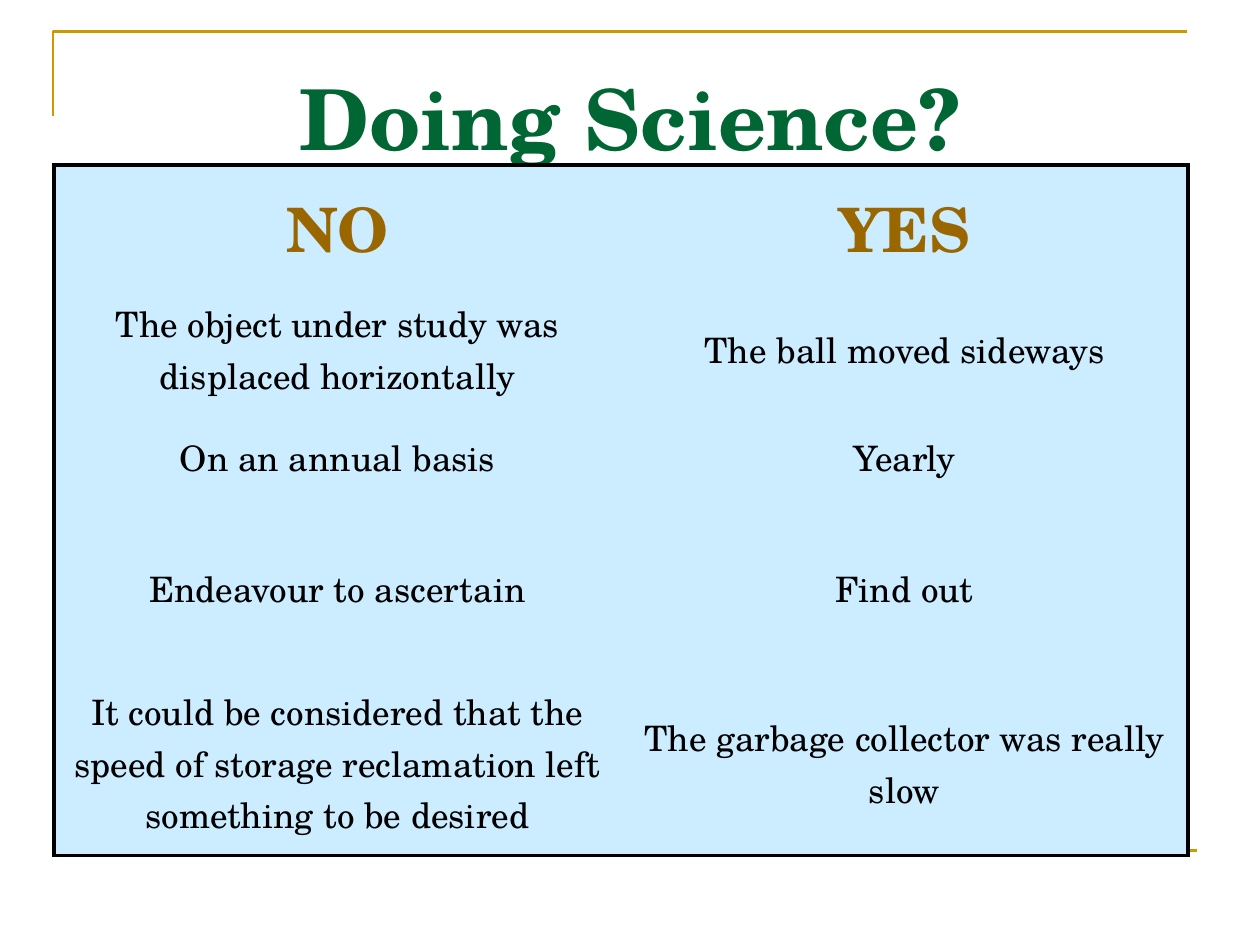
from pptx import Presentation
from pptx.dml.color import RGBColor
from pptx.enum.text import MSO_ANCHOR, MSO_AUTO_SIZE, PP_ALIGN
from pptx.enum.shapes import MSO_CONNECTOR
from pptx.oxml.ns import qn
from pptx.util import Cm, Pt
from lxml import etree

CENTER = PP_ALIGN.CENTER
MIDDLE = MSO_ANCHOR.MIDDLE
NO_AUTOFIT = MSO_AUTO_SIZE.NONE
STRAIGHT = MSO_CONNECTOR.STRAIGHT

TITLE_ONLY = 5
FONT = "TeX Gyre Schola"
GOLD, GREEN, BROWN = "CC9900", "006633", "996600"
BLACK, PALE_BLUE = "000000", "CCECFF"
BORDER_WIDTH = Pt(2.25)

COMPARISONS = [
    ("NO", "YES"),
    ("The object under study was displaced horizontally", "The ball moved sideways"),
    ("On an annual basis", "Yearly"),
    ("Endeavour to ascertain", "Find out"),
    ("It could be considered that the speed of storage reclamation left "
     "something to be desired", "The garbage collector was really slow"),
]
ROW_HEIGHTS = [2.54, 2.34, 2.01, 3.3, 3.73]


def color(hex_string):
    return RGBColor.from_string(hex_string)


def format_text(text_frame, size, hex_string, bold):
    for paragraph in text_frame.paragraphs:
        paragraph.alignment = CENTER
        for run in paragraph.runs:
            run.font.name = FONT
            run.font.size = Pt(size)
            run.font.bold = bold
            run.font.color.rgb = color(hex_string)


def style_rule(shape):
    shape.line.color.rgb = color(GOLD)
    shape.line.width = Pt(1.5)


def add_corner_rule(slide, left, top, width, height):
    """Draw an open outline along the left and top edges of the box."""
    builder = slide.shapes.build_freeform(Cm(left), Cm(top + height))
    builder.add_line_segments(
        [(Cm(left), Cm(top)), (Cm(left + width), Cm(top))], close=False)
    corner = builder.convert_to_shape()
    corner.shadow.inherit = False
    corner.fill.background()
    style_rule(corner)


def add_bottom_rule(slide, left, top, width):
    rule = slide.shapes.add_connector(
        STRAIGHT, Cm(left), Cm(top), Cm(left + width), Cm(top))
    style_rule(rule)
    etree.SubElement(rule._element.spPr, qn("a:effectLst"))


def place_title(slide, left, top, width, height):
    title = slide.shapes.title
    title.left, title.top = Cm(left), Cm(top)
    title.width, title.height = Cm(width), Cm(height)
    text_frame = title.text_frame
    text_frame.text = "Doing Science?"
    text_frame.vertical_anchor = MIDDLE
    text_frame.auto_size = NO_AUTOFIT
    format_text(text_frame, 48, GREEN, True)


def set_borders(cell, visible_sides):
    """Draw the given sides (letters of L, R, T, B) and hide the others."""
    properties = cell._tc.get_or_add_tcPr()
    for position, side in enumerate("LRTB"):
        border = etree.Element(qn(f"a:ln{side}"), w=str(BORDER_WIDTH))
        if side in visible_sides:
            fill = etree.SubElement(border, qn("a:solidFill"))
            etree.SubElement(fill, qn("a:srgbClr"), val=BLACK)
        else:
            etree.SubElement(border, qn("a:noFill"))
        properties.insert(position, border)


def add_comparison_table(slide, left, top, width, row_heights):
    row_count = len(COMPARISONS)
    table = slide.shapes.add_table(
        row_count, 2, Cm(left), Cm(top), Cm(width), Cm(sum(row_heights))).table
    table.first_row = False
    table.horz_banding = False
    for row, height in zip(table.rows, row_heights):
        row.height = Cm(height)
    for row_index, texts in enumerate(COMPARISONS):
        size, hex_string, bold = (20, BLACK, False) if row_index else (35, BROWN, True)
        vertical_sides = {0: "T", row_count - 1: "B"}.get(row_index, "")
        for column_index, text in enumerate(texts):
            cell = table.cell(row_index, column_index)
            cell.text_frame.text = text
            cell.vertical_anchor = MIDDLE
            format_text(cell.text_frame, size, hex_string, bold)
            cell.text_frame.paragraphs[0].space_before = Pt(size * 0.2)
            cell.fill.solid()
            cell.fill.fore_color.rgb = color(PALE_BLUE)
            set_borders(cell, "LR"[column_index] + vertical_sides)


def main():
    presentation = Presentation()
    presentation.slide_width, presentation.slide_height = Cm(25.4), Cm(19.05)
    slide = presentation.slides.add_slide(presentation.slide_layouts[TITLE_ONLY])
    add_corner_rule(slide, 1.07, 0.64, 22.86, 1.7)
    add_bottom_rule(slide, 1.27, 17.15, 22.86)
    place_title(slide, 1.27, 0.76, 22.86, 3.18)
    add_comparison_table(slide, 1.09, 3.33, 22.86, ROW_HEIGHTS)
    presentation.save("out.pptx")


if __name__ == "__main__":
    main()
